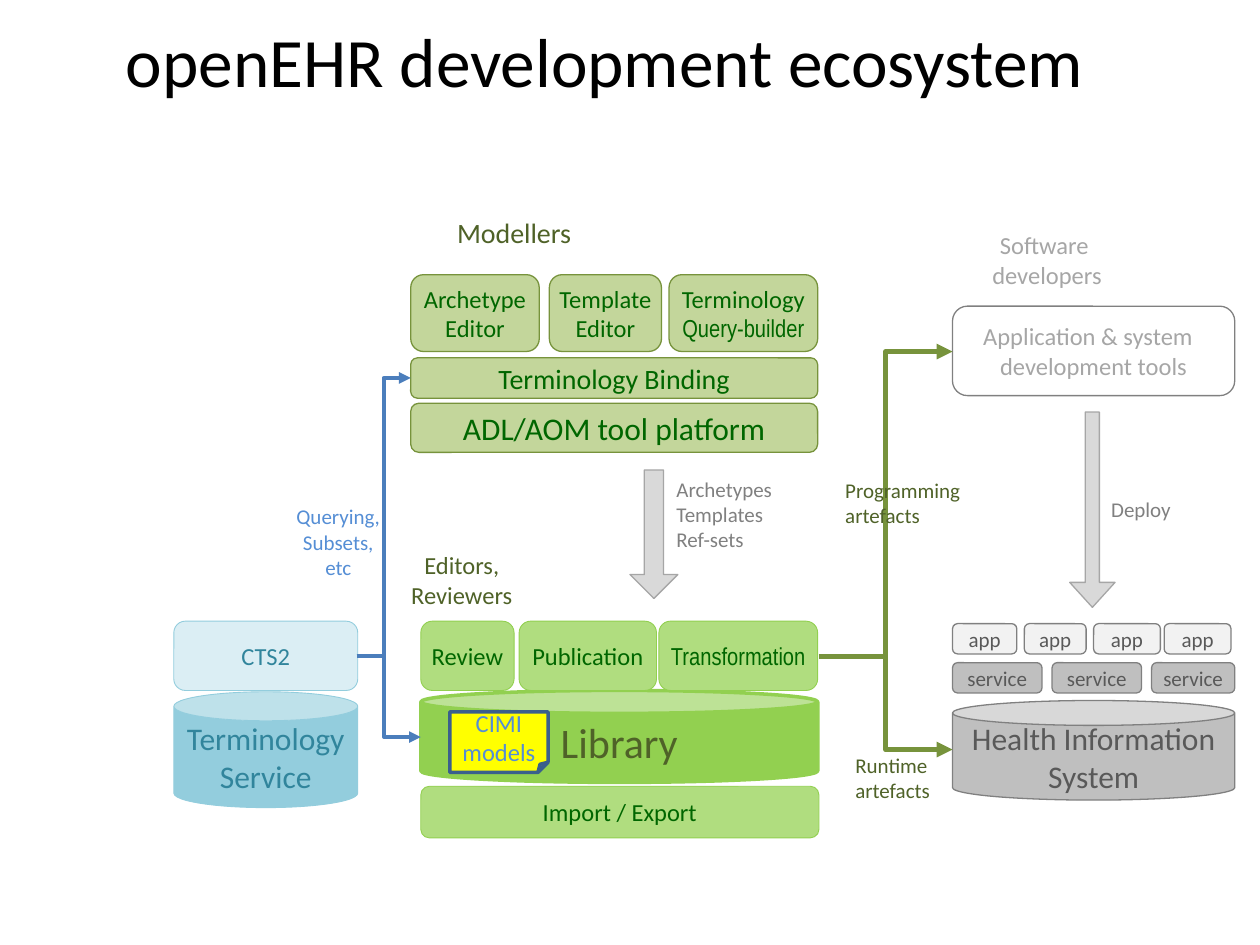
from lxml import etree
from pptx import Presentation
from pptx.dml.color import RGBColor
from pptx.enum.shapes import MSO_CONNECTOR, MSO_SHAPE
from pptx.enum.text import MSO_ANCHOR, MSO_AUTO_SIZE, PP_ALIGN
from pptx.oxml.ns import qn
from pptx.util import Inches, Pt

ROUND, CAN = MSO_SHAPE.ROUNDED_RECTANGLE, MSO_SHAPE.CAN
ARROW, NOTE = MSO_SHAPE.DOWN_ARROW, MSO_SHAPE.FOLDED_CORNER
ELBOW = MSO_CONNECTOR.ELBOW
LEFT, CENTER = PP_ALIGN.LEFT, PP_ALIGN.CENTER
MIDDLE, TOP = MSO_ANCHOR.MIDDLE, MSO_ANCHOR.TOP
GROW = MSO_AUTO_SIZE.SHAPE_TO_FIT_TEXT


class Theme:
    font, narrow = "Calibri", "Arial Narrow"
    title, store, heading, body, small = 39.6, 18, 16, 14, 12
    library = 24
    black, green_text, olive = "000000", "006600", "4F6228"
    gray, pale_gray, blue_text = "808080", "A6A6A6", "558ED5"
    blue_line, olive_line = "4B7EBC", "77933C"
    # Box styles: fill, line, line width, text colour
    tool = ("C3D69B", olive_line, 0.75, green_text)
    repository = ("B0DD7F", "92D050", 0.5, green_text)
    library_store = ("92D050", "92D050", 2, olive)
    terminology = ("DBEEF4", "93CDDD", 0.5, "31859C")
    terminology_store = ("93CDDD", "93CDDD", 0.5, "31859C")
    developer = ("FFFFFF", gray, 0.75, pale_gray)
    app = ("F2F2F2", gray, 0.75, "595959")
    system = ("BFBFBF", gray, 0.75, "595959")
    flow = ("D9D9D9", pale_gray, 0.75, gray)
    note = ("FFFF00", "3A5F8C", 2, blue_text)


def write(shape, text, size, color, font=Theme.font, align=CENTER,
          anchor=MIDDLE, wrap=True, inset=(0.1, 0.05)):
    """Fill a shape with text; \\n starts a paragraph, \\v breaks a line."""
    frame = shape.text_frame
    frame.word_wrap = wrap
    frame.vertical_anchor = anchor
    frame.margin_left = frame.margin_right = Inches(inset[0])
    frame.margin_top = frame.margin_bottom = Inches(inset[1])
    frame.text = text
    for paragraph in frame.paragraphs:
        paragraph.alignment = align
        for run in paragraph.runs:
            run.font.name = font
            run.font.size = Pt(size)
            run.font.color.rgb = RGBColor.from_string(color)


def add_block(kind, bounds, style):
    fill, line, width, _ = style
    block = slide.shapes.add_shape(kind, *map(Inches, bounds))
    block.shadow.inherit = False
    block.fill.solid()
    block.fill.fore_color.rgb = RGBColor.from_string(fill)
    block.line.color.rgb = RGBColor.from_string(line)
    block.line.width = Pt(width)
    return block


prs = Presentation()
prs.slide_width, prs.slide_height = Inches(10), Inches(7.5)
slide = prs.slides.add_slide(prs.slide_layouts[6])

title = slide.shapes.add_textbox(Inches(0.3), Inches(0.08), Inches(9), Inches(0.79))
write(title, "openEHR development ecosystem", Theme.title, Theme.black)

# Large blocks and stores
blocks = [
    ("ADL/AOM tool platform", ROUND, (3.26, 3.2, 3.23, 0.39), Theme.tool, Theme.store),
    ("Terminology Binding", ROUND, (3.26, 2.84, 3.23, 0.32), Theme.tool, Theme.heading),
    ("Application & system  \vdevelopment tools", ROUND, (7.56, 2.43, 2.24, 0.71),
     Theme.developer, Theme.body),
    ("Library", CAN, (3.34, 5.48, 3.15, 0.73), Theme.library_store, Theme.library),
    ("Health Information System", CAN, (7.56, 5.56, 2.24, 0.79), Theme.system, Theme.store),
    ("Terminology\nService", CAN, (1.38, 5.49, 1.46, 0.92),
     Theme.terminology_store, Theme.store),
]
for text, kind, bounds, style, size in blocks:
    write(add_block(kind, bounds, style), text, size, style[3])

# Rows of small boxes: top, height, style, size, inset, then (text, left, width)
tight, normal = (0.04, 0.04), (0.1, 0.05)
rows = [
    (2.18, 0.61, Theme.tool, Theme.body, tight,
     [("Archetype Editor", 3.26, 1.02), ("Template Editor", 4.36, 0.89),
      ("Terminology ", 5.31, 1.18)]),
    (4.93, 0.55, Theme.repository, Theme.body, tight,
     [("Review", 3.34, 0.74), ("Publication", 4.12, 1.09),
      ("Transformation", 5.23, 1.26)]),
    (6.24, 0.41, Theme.repository, Theme.body, tight, [("Import / Export", 3.34, 3.16)]),
    (4.93, 0.55, Theme.terminology, Theme.body, tight, [("CTS2", 1.38, 1.46)]),
    (4.95, 0.24, Theme.app, Theme.small, normal,
     [("app", 7.56, 0.51), ("app", 8.13, 0.49), ("app", 8.68, 0.53), ("app", 9.24, 0.53)]),
    (5.26, 0.24, Theme.system, Theme.small, tight,
     [("service", 7.56, 0.71), ("service", 8.35, 0.71), ("service", 9.14, 0.66)]),
]
for top, height, style, size, inset, boxes in rows:
    for text, left, width in boxes:
        box = add_block(ROUND, (left, top, width, height), style)
        font = Theme.narrow if text == "Transformation" else Theme.font
        write(box, text, size, style[3], font=font, inset=inset)
        if text == "Terminology ":
            query_builder = box.text_frame.paragraphs[0].add_run()
            query_builder.text = "Query-builder"
            query_builder.font.name = Theme.narrow
            query_builder.font.size = Pt(size)
            query_builder.font.color.rgb = RGBColor.from_string(style[3])

cimi = add_block(NOTE, (3.57, 5.65, 0.78, 0.48), Theme.note)
write(cimi, "CIMI models", Theme.body, Theme.note[3], inset=(0.04, 0))

# Block arrows
for bounds, shaft, head in [((5, 3.73, 0.38, 1.02), 0.4, 0.5),
                            ((8.49, 3.27, 0.36, 1.55), 0.31, 0.55)]:
    arrow = add_block(ARROW, bounds, Theme.flow)
    arrow.adjustments[0], arrow.adjustments[1] = shaft, head

# Elbow connectors: start, end, colour, width, position of the bend
links = [
    ((2.83, 5.21), (3.26, 3), Theme.blue_line, 2.25, 0.5),
    ((2.83, 5.21), (3.34, 5.85), Theme.blue_line, 2.25, 0.43),
    ((6.5, 5.21), (7.56, 2.79), Theme.olive_line, 3, 0.5),
    ((6.5, 5.21), (7.56, 5.95), Theme.olive_line, 3, 0.5),
]
for start, end, color, width, bend in links:
    link = slide.shapes.add_connector(ELBOW, *map(Inches, start + end))
    link.line.color.rgb = RGBColor.from_string(color)
    link.line.width = Pt(width)
    properties = link._element.spPr
    etree.SubElement(link.line._get_or_add_ln(), qn("a:tailEnd"), type="triangle")
    etree.SubElement(properties, qn("a:effectLst"))
    guides = properties.find(qn("a:prstGeom")).get_or_add_avLst()
    etree.SubElement(guides, qn("a:gd"), name="adj1", fmla=f"val {round(bend * 100000)}")

# Free labels
labels = [
    ("Modellers", (3.52, 1.66, 1.12, 0.37), Theme.heading, Theme.olive, CENTER),
    ("Software \vdevelopers", (7.77, 1.78, 1.08, 0.57), Theme.body, Theme.pale_gray, CENTER),
    ("Editors,\nReviewers", (3.16, 4.32, 1.01, 0.57), Theme.body, Theme.olive, CENTER),
    ("Querying,\nSubsets,\netc", (2.25, 3.95, 0.87, 0.71), Theme.small,
     Theme.blue_text, CENTER),
    ("Archetypes \vTemplates \vRef-sets", (5.27, 3.73, 1.01, 0.71), Theme.small,
     Theme.gray, LEFT),
    ("Deploy", (8.72, 3.89, 0.68, 0.3), Theme.small, Theme.gray, LEFT),
    ("Programming\vartefacts", (6.61, 3.74, 1.12, 0.5), Theme.small, Theme.olive, LEFT),
    ("Runtime\vartefacts", (6.69, 5.92, 0.8, 0.5), Theme.small, Theme.olive, LEFT),
]
for text, bounds, size, color, align in labels:
    label = slide.shapes.add_textbox(*map(Inches, bounds))
    write(label, text, size, color, align=align, anchor=TOP, wrap=False)
    label.text_frame.auto_size = GROW

prs.save("out.pptx")
